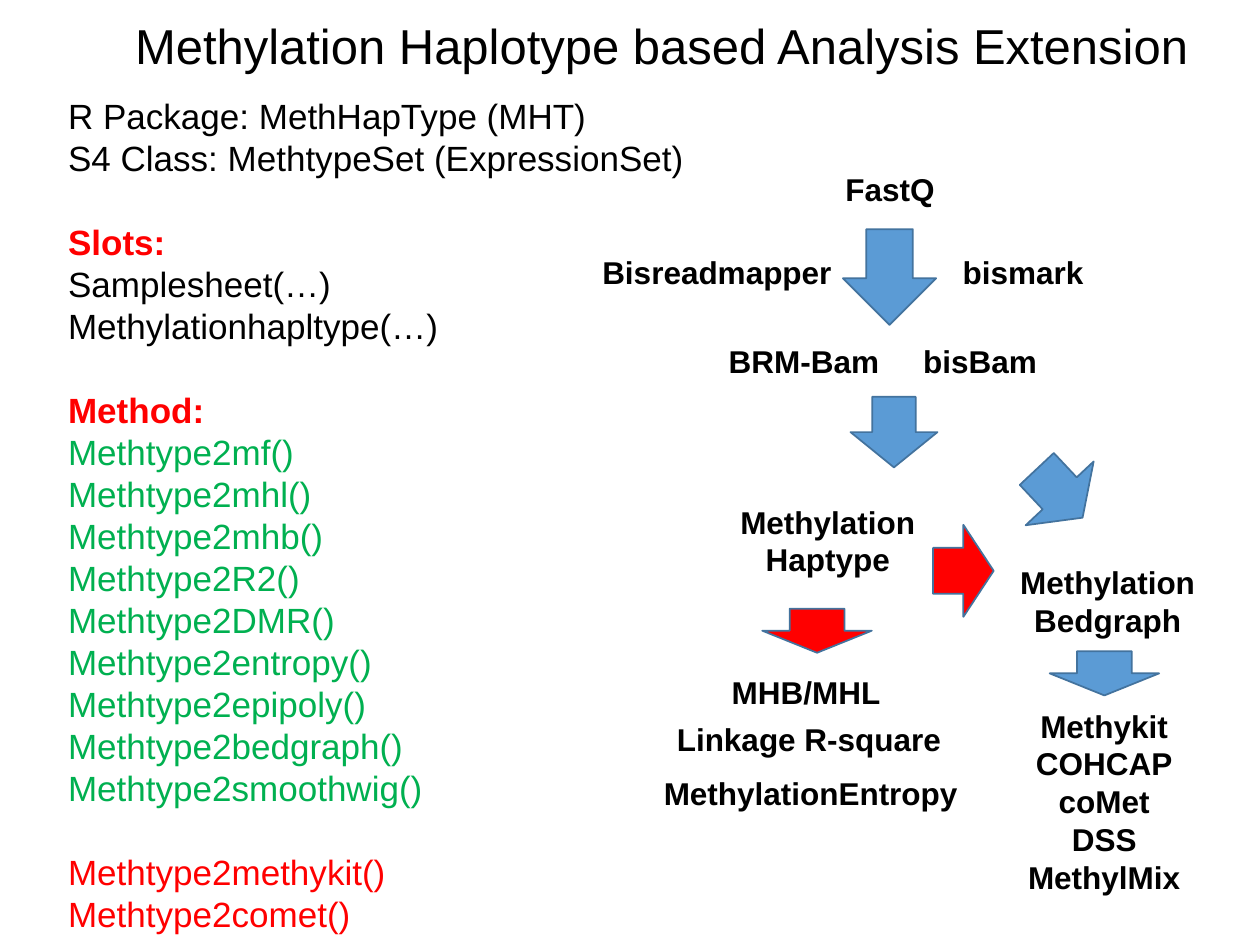
"""Build a slide on methylation haplotype analysis: class outline and data flow."""
from lxml.etree import SubElement
from pptx import Presentation
from pptx.dml.color import RGBColor
from pptx.enum.shapes import MSO_SHAPE as Shape
from pptx.enum.text import MSO_ANCHOR as Anchor, MSO_AUTO_SIZE as AutoSize, PP_ALIGN as Align
from pptx.oxml.ns import qn
from pptx.util import Pt

BLACK, RED, GREEN, BLUE, EDGE, WHITE = "000000", "FF0000", "00B050", "5B9BD5", "43739E", "FFFFFF"
LINE_FACTOR = 1.2


def color(value):
    """Turn a hex string into a colour."""
    return RGBColor.from_string(value)


def write(paragraph, text, size, hex_color=BLACK, bold=False, align=Align.CENTER, gap=0):
    """Add one formatted run and set the paragraph's spacing."""
    run = paragraph.add_run()
    run.text = text
    run.font.name = "Arial"
    run.font.size = Pt(size)
    run.font.bold = bold
    run.font.color.rgb = color(hex_color)
    paragraph.alignment = align
    paragraph.line_spacing = Pt(size * LINE_FACTOR)
    paragraph.space_before = Pt(gap)
    paragraph.space_after = Pt(0)


presentation = Presentation()
presentation.slide_width, presentation.slide_height = Pt(720), Pt(540)
slide = presentation.slides.add_slide(presentation.slide_layouts[1])

title, body = slide.placeholders
title.left, title.top, title.width, title.height = Pt(70), Pt(5), Pt(664), Pt(41)
title.width = Pt(650)
title.text_frame.auto_size = AutoSize.NONE
title.text_frame.vertical_anchor = Anchor.MIDDLE
write(title.text_frame.paragraphs[0], "Methylation Haplotype based Analysis Extension",
      28, align=Align.LEFT)

body.left, body.top, body.width, body.height = Pt(31.7), Pt(48.2), Pt(396.7), Pt(491.8)
body.fill.solid()
body.fill.fore_color.rgb = color(WHITE)
body.text_frame.auto_size = AutoSize.NONE
body.text_frame.vertical_anchor = Anchor.MIDDLE

method_suffixes = ["mf", "mhl", "mhb", "R2", "DMR", "entropy", "epipoly", "bedgraph", "smoothwig"]
export_suffixes = ["methykit", "comet"]
outline_groups = [
    [("R Package: MethHapType (MHT)", BLACK, False),
     ("S4 Class: MethtypeSet (ExpressionSet)", BLACK, False)],
    [("Slots:", RED, True),
     ("Samplesheet(…)", BLACK, False),
     ("Methylationhapltype(…)", BLACK, False)],
    [("Method:", RED, True)]
    + [(f"Methtype2{suffix}()", GREEN, False) for suffix in method_suffixes],
    [(f"Methtype2{suffix}()", RED, False) for suffix in export_suffixes],
]
paragraph = body.text_frame.paragraphs[0]
for group_index, group in enumerate(outline_groups):
    for line_index, (text, hex_color, bold) in enumerate(group):
        if group_index or line_index:
            paragraph = body.text_frame.add_paragraph()
        starts_group = group_index > 0 and line_index == 0
        write(paragraph, text, 20, hex_color, bold, Align.JUSTIFY, 24 if starts_group else 0)
        properties = paragraph._p.get_or_add_pPr()
        properties.set("marL", "0")
        properties.set("indent", "0")
        SubElement(properties, qn("a:buNone"))

labels = [
    (508.6, 93.6, 100, ["FastQ"]),
    (409.7, 141.1, 150, ["Bisreadmapper"]),
    (584.6, 141.1, 100, ["bismark"]),
    (459.4, 192.2, 110, ["BRM-Bam"]),
    (560, 192.2, 90, ["bisBam"]),
    (473, 283.7, 120, ["Methylation", "Haptype"]),
    (633, 318.2, 130, ["Methylation", "Bedgraph"]),
    (631, 400.3, 130, ["Methykit", "COHCAP", "coMet", "DSS", "MethylMix"]),
    (460.6, 380.9, 119, ["MHB/MHL"]),
    (462.3, 408.2, 180, ["Linkage R-square"]),
    (463.3, 438.5, 206, ["MethylationEntropy"]),
]
for center, top, width, lines in labels:
    height = 7.2 + 18 * LINE_FACTOR * len(lines)
    label = slide.shapes.add_textbox(Pt(center - width / 2), Pt(top), Pt(width), Pt(height))
    label.text_frame.word_wrap = True
    for index, text in enumerate(lines):
        paragraph = label.text_frame.add_paragraph() if index else label.text_frame.paragraphs[0]
        write(paragraph, text, 18, bold=True)

arrows = [
    (481.7, 131, 53.3, 54.7, 0, BLUE),
    (486, 226.8, 49.7, 40.3, 0, BLUE),
    (599.8, 372.2, 62.6, 25.2, 0, BLUE),
    (578.9, 262.8, 53.3, 38.2, 316.8, BLUE),
    (435.6, 347.8, 62.6, 25.2, 0, RED),
    (524.2, 308.9, 52.6, 34.6, 270, RED),
]
for left, top, width, height, rotation, fill in arrows:
    arrow = slide.shapes.add_shape(Shape.DOWN_ARROW, Pt(left), Pt(top), Pt(width), Pt(height))
    arrow.rotation = rotation
    arrow.shadow.inherit = False
    arrow.fill.solid()
    arrow.fill.fore_color.rgb = color(fill)
    arrow.line.color.rgb = color(EDGE)
    arrow.line.width = Pt(1)

presentation.save("out.pptx")
